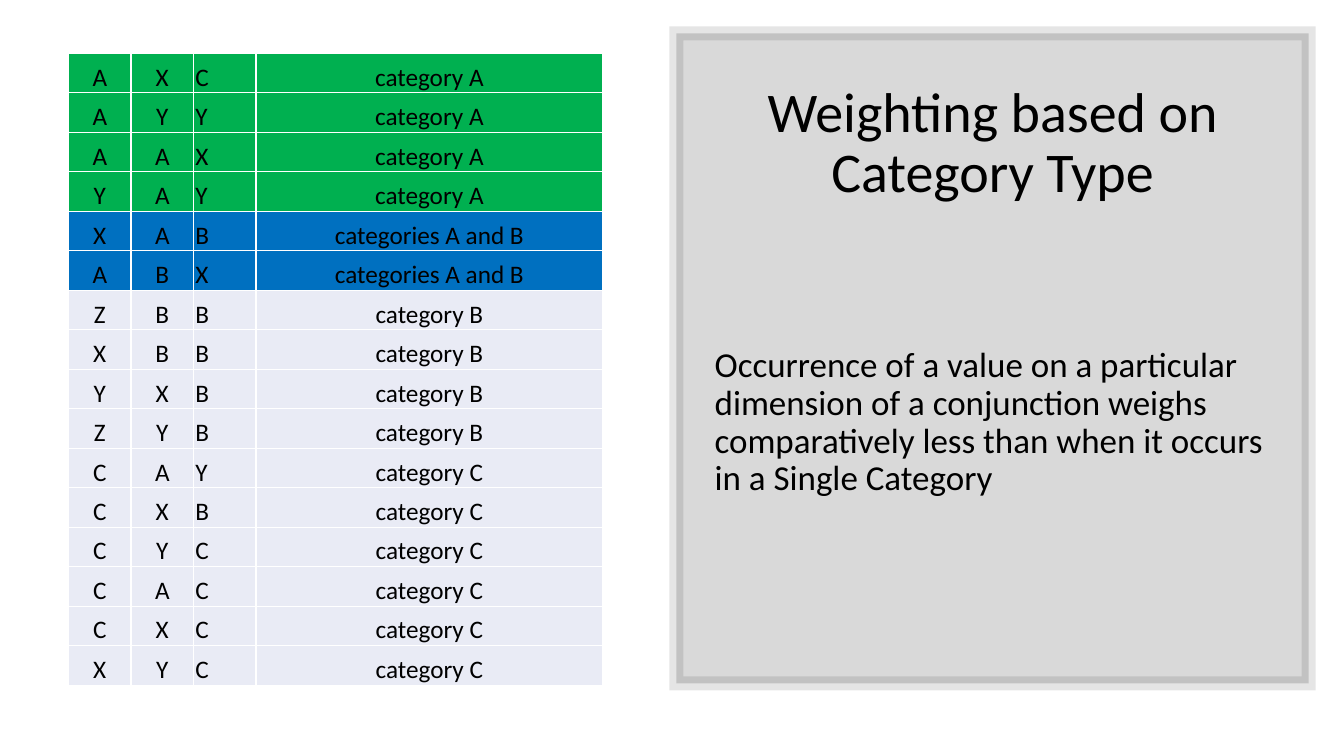
from lxml import etree
from pptx import Presentation
from pptx.dml.color import RGBColor
from pptx.enum.shapes import MSO_SHAPE
from pptx.enum.text import MSO_ANCHOR, PP_ALIGN
from pptx.oxml import parse_xml
from pptx.oxml.ns import nsdecls, qn
from pptx.util import Inches, Pt

RECTANGLE = MSO_SHAPE.RECTANGLE
MIDDLE, BOTTOM = MSO_ANCHOR.MIDDLE, MSO_ANCHOR.BOTTOM
LEFT, CENTER = PP_ALIGN.LEFT, PP_ALIGN.CENTER

FONT = "Calibri"
BLACK, WHITE = "000000", "FFFFFF"
GREEN, BLUE, PALE = "00B050", "0070C0", "E9EBF5"
COLUMN_WIDTHS = [0.62, 0.62, 0.62, 3.44]
COLUMN_ALIGNS = [CENTER, CENTER, LEFT, CENTER]
CATEGORY_GROUPS = [
    ("category A", GREEN, ["AXC", "AYY", "AAX", "YAY"]),
    ("categories A and B", BLUE, ["XAB", "ABX"]),
    ("category B", PALE, ["ZBB", "XBB", "YXB", "ZYB"]),
    ("category C", PALE, ["CAY", "CXB", "CYC", "CAC", "CXC", "XYC"]),
]


def color(hex_value):
    """Turn a hex string into a colour."""
    return RGBColor.from_string(hex_value)


def style_paragraph(paragraph, text, size, align):
    """Fill a paragraph with black text."""
    paragraph.text = text
    paragraph.alignment = align
    paragraph.font.size = Pt(size)
    paragraph.font.name = FONT
    paragraph.font.color.rgb = color(BLACK)


def set_alpha(fill, percent):
    """Make a solid fill partly transparent."""
    rgb = fill.find(qn("a:solidFill")).find(qn("a:srgbClr"))
    etree.SubElement(rgb, qn("a:alpha")).set("val", str(percent * 1000))


def add_borders(cell):
    """Draw a thin white line on each side of a cell."""
    properties = cell._tc.get_or_add_tcPr()
    for position, side in enumerate(["lnL", "lnR", "lnT", "lnB"]):
        properties.insert(position, parse_xml(
            f'<a:{side} {nsdecls("a")} w="12700"><a:solidFill>'
            f'<a:srgbClr val="{WHITE}"/></a:solidFill></a:{side}>'))


def add_category_table(slide, left, top, width, height):
    """Place the table of value triples and their categories."""
    rows = [([*triple, category], fill)
            for category, fill, triples in CATEGORY_GROUPS for triple in triples]
    table = slide.shapes.add_table(
        len(rows), len(COLUMN_WIDTHS), Inches(left), Inches(top),
        Inches(width), Inches(height)).table
    table.first_row = table.horz_banding = False
    for column, column_width in zip(table.columns, COLUMN_WIDTHS):
        column.width = Inches(column_width)
    for row, (values, fill) in zip(table.rows, rows):
        row.height = Inches(height / len(rows))
        for cell, value, align in zip(row.cells, values, COLUMN_ALIGNS):
            cell.fill.solid()
            cell.fill.fore_color.rgb = color(fill)
            cell.vertical_anchor = BOTTOM
            cell.margin_left = cell.margin_right = cell.margin_top = Inches(0.02)
            cell.margin_bottom = 0
            style_paragraph(cell.text_frame.paragraphs[0], value, 18, align)
            add_borders(cell)


def add_panel_text(slide, left, top, width, height, text, size, align):
    """Place one vertically centred text of the panel."""
    frame = slide.shapes.add_textbox(
        Inches(left), Inches(top), Inches(width), Inches(height)).text_frame
    frame.word_wrap = True
    frame.vertical_anchor = MIDDLE
    frame.paragraphs[0].line_spacing = 0.9
    style_paragraph(frame.paragraphs[0], text, size, align)


def add_weighting_panel(slide, left, top, width, height):
    """Place the framed panel with its title and statement."""
    panel = slide.shapes.add_shape(
        RECTANGLE, Inches(left), Inches(top), Inches(width), Inches(height))
    panel.shadow.inherit = False
    panel.fill.solid()
    panel.fill.fore_color.rgb = color(BLACK)
    set_alpha(panel._element.spPr, 15)
    panel.line.width = Pt(10)
    panel.line.color.rgb = color(BLACK)
    outline = panel._element.spPr.find(qn("a:ln"))
    set_alpha(outline, 10)
    etree.SubElement(outline, qn("a:miter")).set("lim", "800000")
    add_panel_text(slide, left + 0.28, top + 0.37, width - 0.56, 1.47,
                   "Weighting based on Category Type", 40, CENTER)
    add_panel_text(slide, left + 0.28, top + 1.99, width - 0.54, 3.75,
                   "Occurrence of a value on a particular dimension of a "
                   "conjunction weighs comparatively less than when it occurs "
                   "in a Single Category", 25, LEFT)


def main():
    """Build and save the slide."""
    presentation = Presentation()
    presentation.slide_width = Inches(13.33)
    presentation.slide_height = Inches(7.5)
    slide = presentation.slides.add_slide(presentation.slide_layouts[6])
    add_weighting_panel(slide, 6.71, 0.33, 6.27, 6.45)
    add_category_table(slide, 0.68, 0.53, sum(COLUMN_WIDTHS), 6.27)
    presentation.save("out.pptx")


if __name__ == "__main__":
    main()
